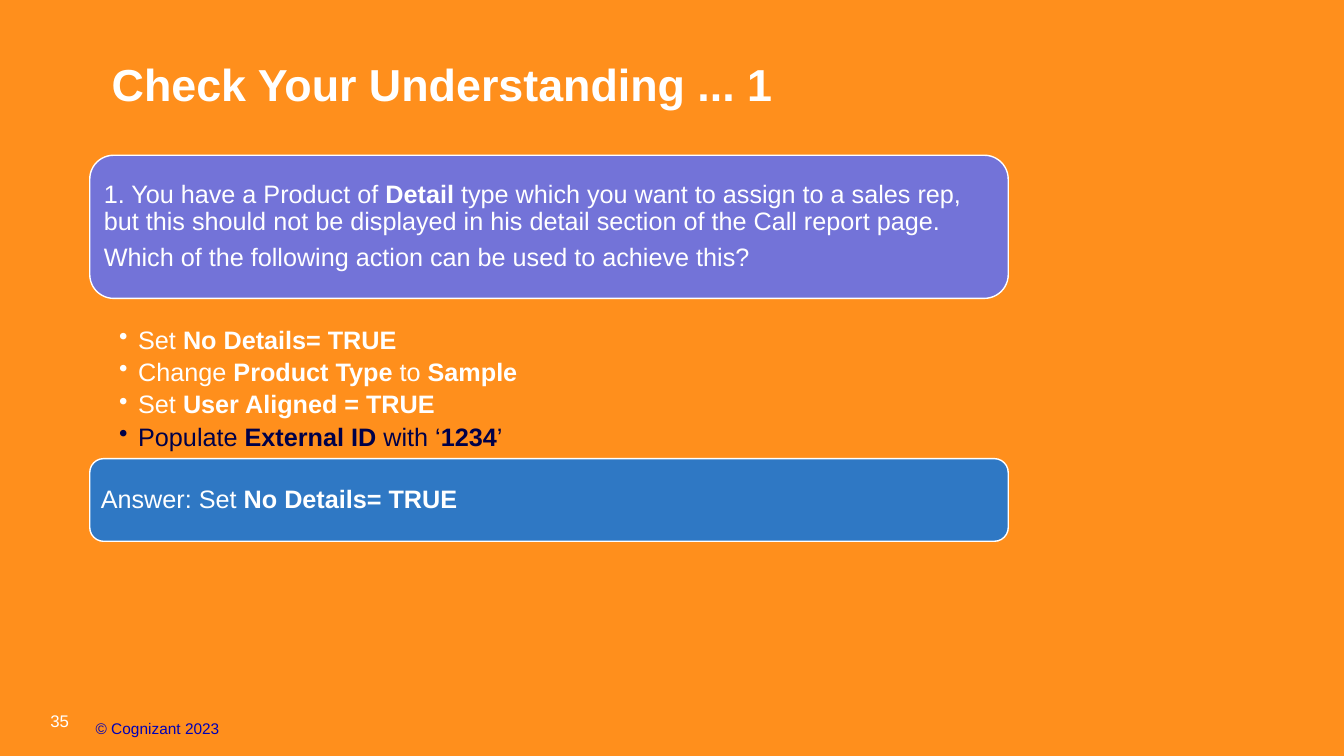
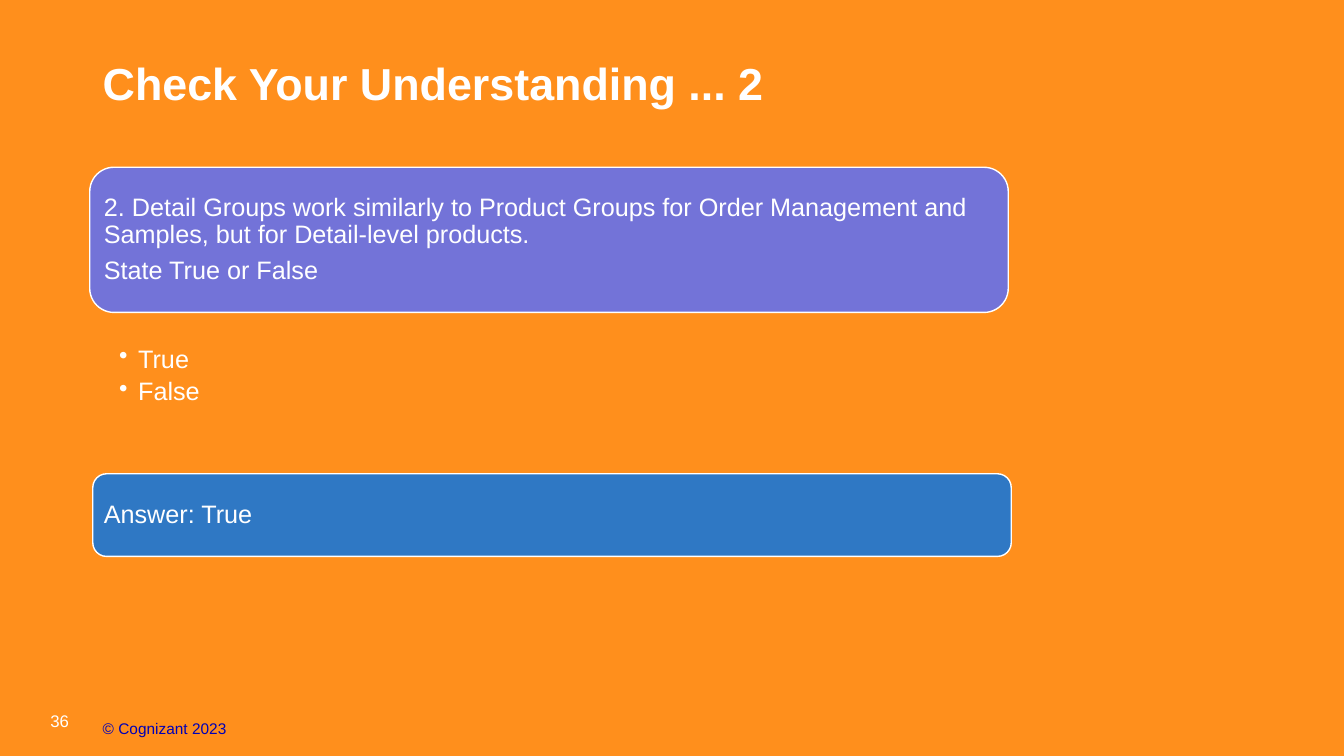
import pptx
import pptx.util
import pptx.dml.color
import pptx.enum.shapes
import pptx.enum.text
import pptx.oxml.ns
import lxml.etree
from dataclasses import dataclass

Inches = pptx.util.Inches
Pt = pptx.util.Pt
Anchor = pptx.enum.text.MSO_ANCHOR


@dataclass(frozen=True)
class Theme:
    font: str = "Arial"
    back: str = "FF8F1C"
    white: str = "FFFFFF"
    navy: str = "000048"
    link: str = "0000B6"
    ask: str = "7373D8"
    reply: str = "2F78C4"
    title: int = 32
    body: int = 18
    page: int = 12
    foot: int = 11


class Deck:
    def __init__(self, theme):
        self.theme = theme
        self.show = pptx.Presentation()
        self.show.slide_width = Inches(13.33)
        self.show.slide_height = Inches(7.5)
        self.slide = None

    def tint(self, code):
        return pptx.dml.color.RGBColor.from_string(code)

    def start(self):
        self.slide = self.show.slides.add_slide(self.show.slide_layouts[6])
        fill = self.slide.background.fill
        fill.solid()
        fill.fore_color.rgb = self.tint(self.theme.back)

    def setup(self, shape, anchor, pads, wrap=True):
        frame = shape.text_frame
        frame.word_wrap = wrap
        frame.vertical_anchor = anchor
        (frame.margin_left, frame.margin_top,
         frame.margin_right, frame.margin_bottom) = map(Inches, pads)
        return frame

    def box(self, place, anchor=Anchor.TOP, pads=(0.1, 0.05, 0.1, 0.05), wrap=True):
        shape = self.slide.shapes.add_textbox(*map(Inches, place))
        return self.setup(shape, anchor, pads, wrap)

    def runs(self, para, parts, size, code, bold=False):
        para.alignment = pptx.enum.text.PP_ALIGN.LEFT
        for spot, part in enumerate(parts):
            run = para.add_run()
            run.text = part
            run.font.name = self.theme.font
            run.font.size = Pt(size)
            run.font.bold = bold or spot % 2 == 1
            run.font.color.rgb = self.tint(code)

    def lines(self, frame, rows, after, tones, mark=False):
        for spot, (parts, tone) in enumerate(zip(rows, tones)):
            para = frame.add_paragraph() if spot else frame.paragraphs[0]
            if mark:
                self.bullet(para)
            para.line_spacing = 0.9
            para.space_after = Pt(after)
            self.runs(para, parts, self.theme.body, tone)

    def bullet(self, para):
        props = para._p.get_or_add_pPr()
        props.set("marL", str(Inches(0.19)))
        props.set("indent", str(Inches(-0.19)))
        tag = pptx.oxml.ns.qn("a:buChar")
        lxml.etree.SubElement(props, tag).set("char", "•")

    def title(self, left, top, text):
        frame = self.box((left, top, 10.26, 1.21), Anchor.MIDDLE)
        self.runs(frame.paragraphs[0], [text], self.theme.title, self.theme.white, True)

    def card(self, left, top, high, fill, rows):
        kind = pptx.enum.shapes.MSO_SHAPE.ROUNDED_RECTANGLE
        shape = self.slide.shapes.add_shape(kind, *map(Inches, (left, top, 9.11, high)))
        shape.shadow.inherit = False
        shape.fill.solid()
        shape.fill.fore_color.rgb = self.tint(fill)
        shape.line.color.rgb = self.tint(self.theme.white)
        shape.line.width = Pt(1)
        frame = self.setup(shape, Anchor.MIDDLE, (0.07,) * 4)
        self.lines(frame, rows, 6.3, [self.theme.white] * len(rows))

    def picks(self, top, high, rows, tones):
        frame = self.box((0.89, top, 9.11, high), pads=(0.29, 0.03, 0.14, 0.03))
        self.lines(frame, rows, 3.6, tones, True)

    def footer(self, left, page):
        frame = self.box((0.5, 6.92, 0.39, 0.33), Anchor.BOTTOM, (0,) * 4, False)
        self.runs(frame.paragraphs[0], [str(page)], self.theme.page, self.theme.white)
        frame = self.box((left, 7.08, 2, 0.25))
        self.runs(frame.paragraphs[0], ["© Cognizant 2023"], self.theme.foot, self.theme.link)


def main():
    theme = Theme()
    deck = Deck(theme)

    deck.start()
    deck.title(1.01, 0.22, "Check Your Understanding ... 1")
    deck.card(0.89, 1.54, 1.42, theme.ask, [
        ["1. You have a Product of ", "Detail",
         " type which you want to assign to a sales rep, but this should not be "
         "displayed in his detail section of the Call report page."],
        ["Which of the following action can be used to achieve this?"],
    ])
    deck.picks(3.22, 1, [
        ["Set ", "No Details= TRUE"],
        ["Change ", "Product Type", " to ", "Sample"],
        ["Set ", "User Aligned = TRUE"],
        ["Populate ", "External ID", " with ‘", "1234", "’"],
    ], [theme.white] * 3 + [theme.navy])
    deck.card(0.89, 4.55, 0.82, theme.reply, [["Answer: Set ", "No Details= TRUE"]])
    deck.footer(0.85, 35)

    deck.start()
    deck.title(0.92, 0.21, "Check Your Understanding ... 2")
    deck.card(0.89, 1.66, 1.44, theme.ask, [
        ["2. Detail Groups work similarly to Product Groups for Order Management "
         "and Samples, but for Detail-level products."],
        ["State True or False"],
    ])
    deck.picks(3.41, 0.96, [["True"], ["False"]], [theme.white] * 2)
    deck.card(0.92, 4.7, 0.82, theme.reply, [["Answer: True"]])
    deck.footer(0.92, 36)

    deck.show.save("out.pptx")


if __name__ == "__main__":
    main()
